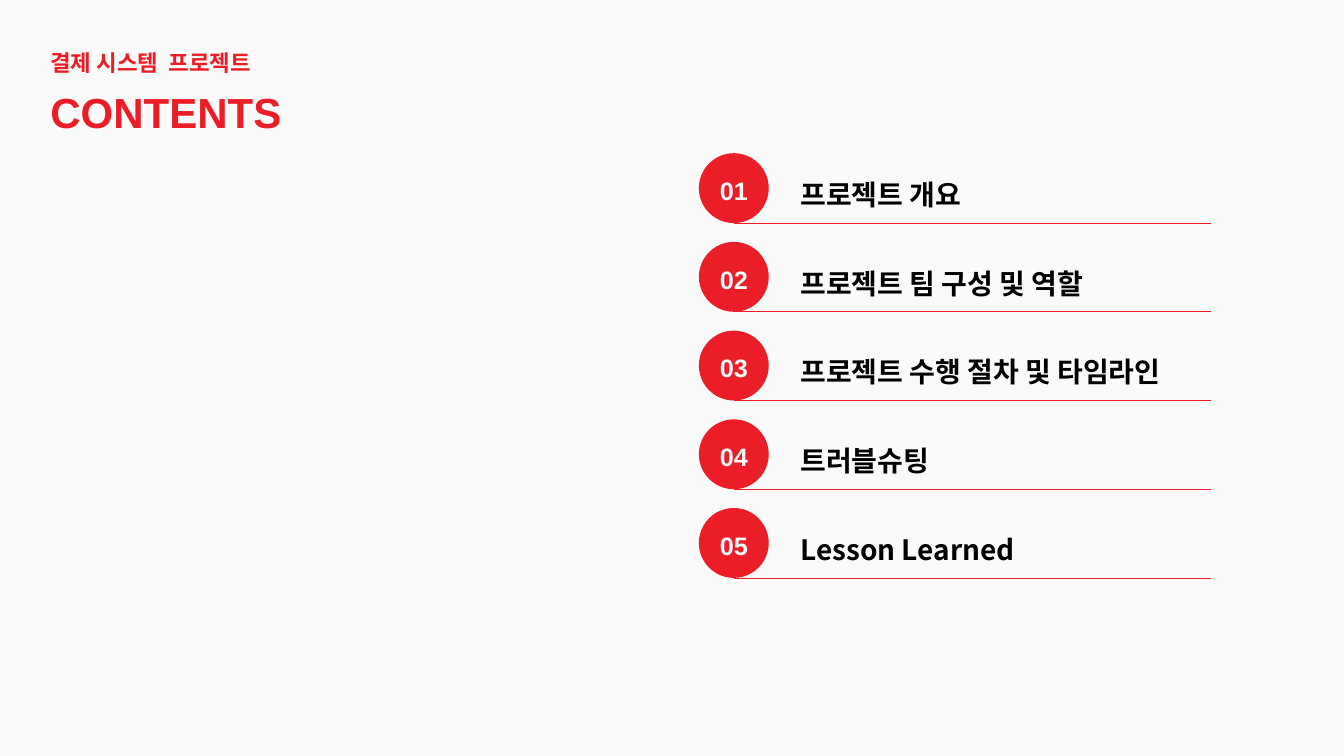
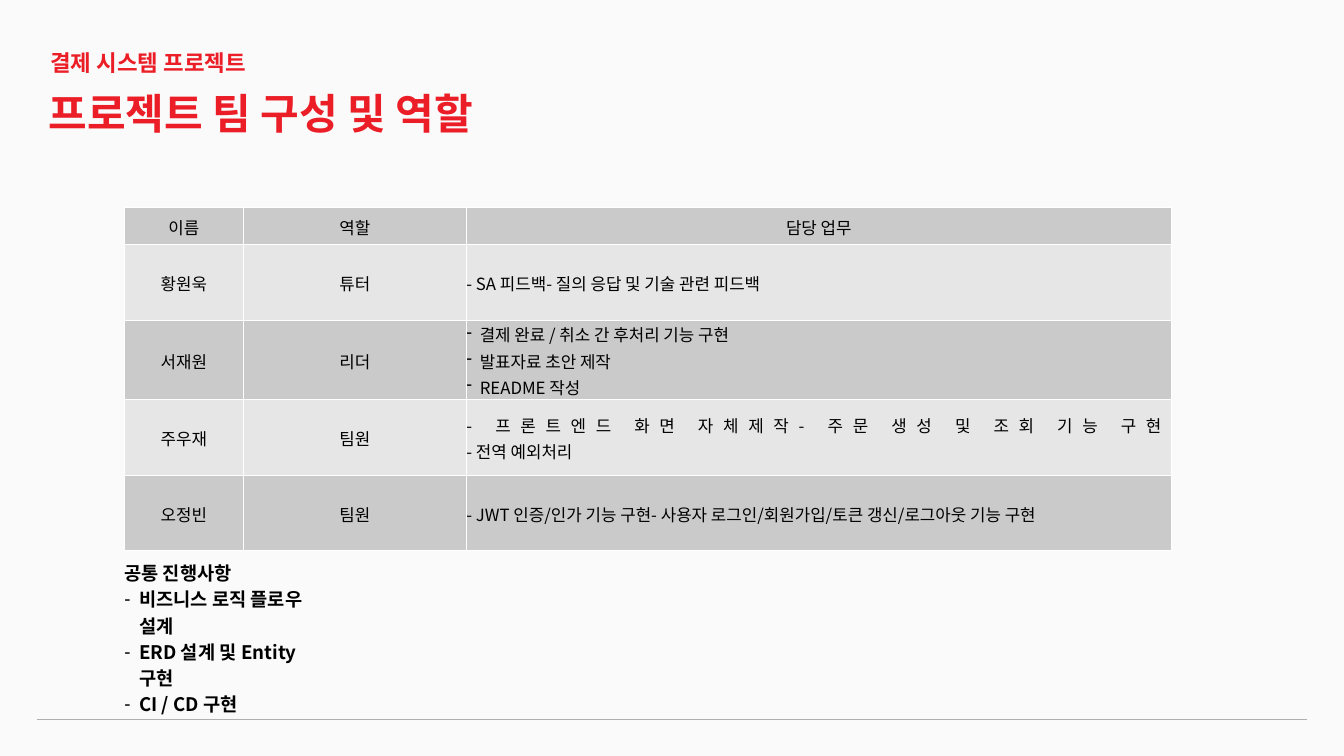
"""Build the contents slide and the team roles slide of a payment system project."""
from lxml.etree import SubElement
from pptx import Presentation
from pptx.dml.color import RGBColor
from pptx.enum.shapes import MSO_CONNECTOR as Connector, MSO_SHAPE as Shape
from pptx.enum.text import MSO_ANCHOR as Anchor, MSO_AUTO_SIZE as AutoSize, PP_ALIGN as Align
from pptx.oxml.ns import qn
from pptx.util import Inches, Pt

RED, PAPER, BLACK, WHITE = "EB1D26", "FAFAFA", "000000", "FFFFFF"
RULE, DARK_ROW, LIGHT_ROW = "AFAFAF", "CACACA", "E6E6E6"
SANS, KOREAN, TABLE_FONT = "Arial", "Noto Sans CJK SC", "Noto Sans CJK KR"


def color(target, value):
    """Give a fill, or the colour of a font, one solid hex colour."""
    if hasattr(target, "solid"):
        target.solid()
        target = target.fore_color
    target.rgb = RGBColor.from_string(value)


def write(frame, lines, size, spacing, font=KOREAN, ink=BLACK, bold=True, align=Align.LEFT,
          anchor=Anchor.TOP, after=0, dash_from=None, indent=0.2, inset=0, box=None):
    """Fill a text frame with formatted lines, dashed from the given index on."""
    if box:
        shape = frame._parent
        shape.left, shape.top, shape.width, shape.height = map(Inches, box)
    frame.word_wrap = True
    frame.auto_size = AutoSize.NONE
    frame.vertical_anchor = anchor
    frame.margin_left = frame.margin_right = Inches(inset)
    frame.margin_top = frame.margin_bottom = Inches(inset)
    for index, line in enumerate(lines):
        paragraph = frame.add_paragraph() if index else frame.paragraphs[0]
        paragraph.text = line
        paragraph.alignment = align
        paragraph.line_spacing = Pt(spacing)
        paragraph.space_before, paragraph.space_after = Pt(0), Pt(after)
        dashed = dash_from is not None and index >= dash_from
        properties = paragraph._p.get_or_add_pPr()
        properties.set("marL", str(Inches(indent) if dashed else 0))
        properties.set("indent", str(Inches(-indent) if dashed else 0))
        if dashed:
            SubElement(properties, qn("a:buChar"), char="-")
        else:
            SubElement(properties, qn("a:buNone"))
        for run in paragraph.runs:
            run.font.name, run.font.size, run.font.bold = font, Pt(size), bold
            color(run.font.fill, ink)
            SubElement(run._r.get_or_add_rPr(), qn("a:ea"), typeface=font)


presentation = Presentation()
presentation.slide_width, presentation.slide_height = Inches(20), Inches(11.25)
color(presentation.slide_master.background.fill, PAPER)

headings = [
    ("결제 시스템  프로젝트", "CONTENTS", SANS, 0.75, 1.18),
    ("결제 시스템 프로젝트", "프로젝트 팀 구성 및 역할", KOREAN, 0.72, 1.19),
]
slides = []
for project, title, font, left, top in headings:
    slide = presentation.slides.add_slide(presentation.slide_layouts[1])
    write(slide.shapes.title.text_frame, [title], 45, 62, font=font, ink=RED,
          box=(left, top, 6.55, 0.88))
    kicker = slide.shapes.add_textbox(0, 0, 0, 0)
    write(kicker.text_frame, [project], 24, 34, ink=RED, box=(0.75, 0.66, 3.25, 0.48))
    slides.append(slide)
contents, team = slides

chapters = ["프로젝트 개요", "프로젝트 팀 구성 및 역할", "프로젝트 수행 절차 및 타임라인",
            "트러블슈팅", "Lesson Learned"]
write(contents.placeholders[1].text_frame, chapters, 30, 65, after=30,
      box=(11.91, 2.24, 5.44, 6.13))
rules = []
diameter, step = 1.04, 1.32
for index in range(len(chapters)):
    top = 2.28 + index * step
    circle = contents.shapes.add_shape(Shape.OVAL, Inches(10.4), Inches(top),
                                       Inches(diameter), Inches(diameter))
    circle.shadow.inherit = False
    color(circle.fill, RED)
    circle.line.fill.background()
    write(circle.text_frame, [f"{index + 1:02}"], 27, 37, font=SANS, ink=PAPER,
          align=Align.CENTER, anchor=Anchor.MIDDLE)
    rules.append((contents, 10.92, 18.02, top + diameter, RED))

rules.append((team, 0.55, 19.45, 10.7, RULE))
for slide, left, right, height, ink in rules:
    rule = slide.shapes.add_connector(Connector.STRAIGHT, Inches(left), Inches(height),
                                      Inches(right), Inches(height))
    color(rule.line.fill, ink)
    rule.line.width = Pt(0.75)
    SubElement(rule._element.spPr, qn("a:effectLst"))

members = [
    ("이름", "역할", ["담당 업무"]),
    ("황원욱", "튜터", ["- SA 피드백- 질의 응답 및 기술 관련 피드백"]),
    ("서재원", "리더", ["결제 완료 / 취소 간 후처리 기능 구현", "발표자료 초안 제작", "README 작성"]),
    ("주우재", "팀원", ["- 프론트엔드 화면 자체제작- 주문 생성 및 조회 기능 구현\v- 전역 예외처리"]),
    ("오정빈", "팀원", ["- JWT 인증/인가 기능 구현- 사용자 로그인/회원가입/토큰 갱신/로그아웃 기능 구현"]),
]
widths, heights = [1.77, 3.32, 10.49], [0.55] + [1.13] * 4
table = team.shapes.add_table(len(members), len(widths), Inches(1.85), Inches(3.09),
                              Inches(sum(widths)), Inches(sum(heights))).table
table.first_row = False
for column, width in zip(table.columns, widths):
    column.width = Inches(width)
for row_index, (name, role, tasks) in enumerate(members):
    row = table.rows[row_index]
    row.height = Inches(heights[row_index])
    for column_index, lines in enumerate([[name], [role], tasks]):
        cell = row.cells[column_index]
        color(cell.fill, LIGHT_ROW if row_index % 2 else DARK_ROW)
        is_task = row_index > 0 and column_index == 2
        write(cell.text_frame, lines, 18, 28, font=TABLE_FONT, bold=False,
              align=Align.JUSTIFY if is_task else Align.CENTER,
              dash_from=0 if len(lines) > 1 else None)
        cell.vertical_anchor = Anchor.MIDDLE
        cell.margin_left = cell.margin_right = cell.margin_top = cell.margin_bottom = 0

shared_work = ["공통 진행사항", "비즈니스 로직 플로우 설계", "ERD 설계 및 Entity 구현", "CI / CD 구현"]
write(team.placeholders[1].text_frame, shared_work, 20, 28, dash_from=1, indent=0.22,
      inset=0.05, box=(1.8, 8.26, 3.2, 2.43))

presentation.save("out.pptx")
